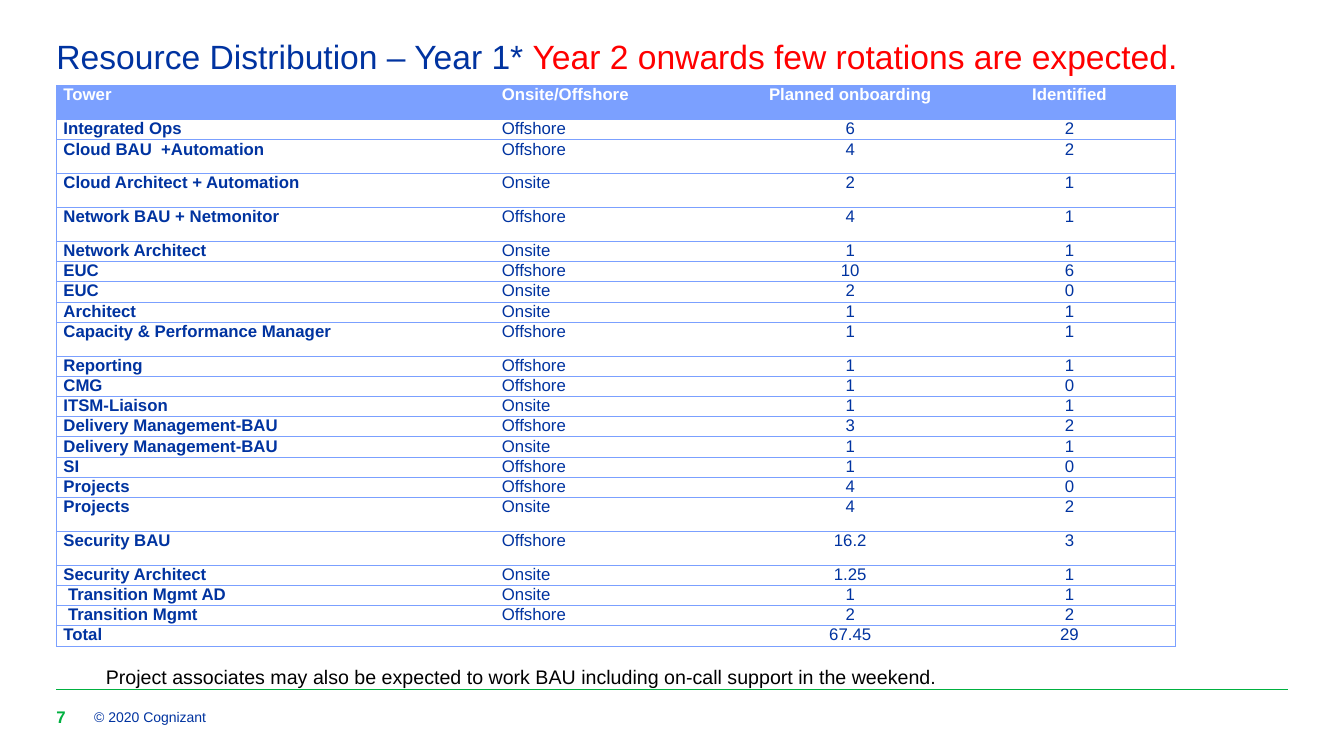
from lxml.etree import SubElement
from pptx import Presentation
from pptx.dml.color import RGBColor
from pptx.enum.shapes import MSO_CONNECTOR as Connector
from pptx.enum.text import MSO_ANCHOR as Anchor, MSO_AUTO_SIZE as AutoSize, PP_ALIGN as Align
from pptx.oxml.ns import qn
from pptx.util import Pt

NAVY, RED, GREEN, SKY = "0033A0", "FF0000", "00B140", "7BA0FF"
WHITE, BLACK = "FFFFFF", "000000"
LEFT = 40.3

HEADINGS = ("Tower", "Onsite/Offshore", "Planned onboarding", "Identified")
TOWERS = [
    ("Integrated Ops", "Offshore", "6", "2"),
    ("Cloud BAU  +Automation", "Offshore", "4", "2"),
    ("Cloud Architect + Automation", "Onsite", "2", "1"),
    ("Network BAU + Netmonitor", "Offshore", "4", "1"),
    ("Network Architect", "Onsite", "1", "1"),
    ("EUC", "Offshore", "10", "6"),
    ("EUC", "Onsite", "2", "0"),
    ("Architect", "Onsite", "1", "1"),
    ("Capacity & Performance Manager", "Offshore", "1", "1"),
    ("Reporting", "Offshore", "1", "1"),
    ("CMG", "Offshore", "1", "0"),
    ("ITSM-Liaison", "Onsite", "1", "1"),
    ("Delivery Management-BAU", "Offshore", "3", "2"),
    ("Delivery Management-BAU", "Onsite", "1", "1"),
    ("SI", "Offshore", "1", "0"),
    ("Projects", "Offshore", "4", "0"),
    ("Projects", "Onsite", "4", "2"),
    ("Security BAU", "Offshore", "16.2", "3"),
    ("Security Architect", "Onsite", "1.25", "1"),
    (" Transition Mgmt AD", "Onsite", "1", "1"),
    (" Transition Mgmt", "Offshore", "2", "2"),
    ("Total", "", "67.45", "29"),
]
COLUMN_WIDTHS = (313.2, 172.8, 162, 151.2)
TALL_ROWS = {0, 2, 3, 4, 9, 17, 18}
TALL, SHORT = 24.2, 14.4


def rgb(color):
    return RGBColor.from_string(color)


def set_font(font, size, color, bold=False):
    font.name, font.size, font.bold = "Arial", Pt(size), bold
    font.color.rgb = rgb(color)


def clear_insets(frame):
    frame.margin_left = frame.margin_top = frame.margin_right = frame.margin_bottom = 0
    frame.word_wrap = True


def add_title(slide, left, top, width, height):
    title = slide.shapes.title
    title.left, title.top, title.width, title.height = map(Pt, (left, top, width, height))
    frame = title.text_frame
    clear_insets(frame)
    frame.auto_size = AutoSize.NONE
    frame.vertical_anchor = Anchor.TOP
    heading = frame.paragraphs[0]
    heading.alignment, heading.line_spacing = Align.LEFT, 0.9
    for words, color in (("Resource Distribution – Year 1* ", NAVY),
                         ("Year 2 onwards few rotations are expected.", RED)):
        run = heading.add_run()
        run.text = words
        set_font(run.font, 24, color)


def add_label(slide, words, left, top, width, height, size, color, bold=False, anchor=Anchor.MIDDLE):
    frame = slide.shapes.add_textbox(*map(Pt, (left, top, width, height))).text_frame
    clear_insets(frame)
    frame.vertical_anchor = anchor
    frame.text = words
    set_font(frame.paragraphs[0].font, size, color, bold)


def set_borders(cell, sides):
    """Draw the given sides (of L, R, T, B) and hide the others."""
    properties = cell._tc.get_or_add_tcPr()
    for side in "LRTB":
        border = SubElement(properties, qn(f"a:ln{side}"), w=str(Pt(0.5)))
        if side in sides:
            fill = SubElement(border, qn("a:solidFill"))
            SubElement(fill, qn("a:srgbClr"), val=SKY)
        else:
            SubElement(border, qn("a:noFill"))


def fill_cell(cell, words, row, column):
    header = row == 0
    cell.margin_left = cell.margin_right = Pt(5)
    cell.margin_top = cell.margin_bottom = 0
    cell.text = words
    entry = cell.text_frame.paragraphs[0]
    entry.alignment = Align.CENTER if column > 1 else Align.LEFT
    set_font(entry.font, 12, WHITE if header else NAVY, header or column == 0)
    set_borders(cell, "TB" + {0: "L", 3: "R"}.get(column, ""))
    if header:
        cell.fill.solid()
        cell.fill.fore_color.rgb = rgb(SKY)
    else:
        cell.fill.background()


def add_resource_table(slide, left, top):
    rows = [HEADINGS, *TOWERS]
    heights = [TALL if row in TALL_ROWS else SHORT for row in range(len(rows))]
    table = slide.shapes.add_table(
        len(rows), len(HEADINGS), Pt(left), Pt(top), Pt(sum(COLUMN_WIDTHS)), Pt(sum(heights))).table
    table.horz_banding = False
    for column, width in zip(table.columns, COLUMN_WIDTHS):
        column.width = Pt(width)
    for row, (entries, height) in enumerate(zip(rows, heights)):
        table.rows[row].height = Pt(height)
        for column, words in enumerate(entries):
            fill_cell(table.cell(row, column), words, row, column)


def add_footer(slide, left, top, width):
    rule = slide.shapes.add_connector(Connector.STRAIGHT, Pt(left), Pt(top), Pt(left + width), Pt(top))
    rule.line.color.rgb, rule.line.width = rgb(GREEN), Pt(0.5)
    SubElement(rule._element.spPr, qn("a:effectLst"))
    add_label(slide, "© 2020 Cognizant", left + 27, top + 11.5, 480, 16.6, 10, NAVY)
    add_label(slide, "7", left, top + 11.5, 24, 16.6, 12, GREEN, bold=True)


def main():
    deck = Presentation()
    deck.slide_width, deck.slide_height = Pt(960), Pt(540)
    slide = deck.slides.add_slide(deck.slide_layouts[5])
    add_title(slide, LEFT, 28.8, 880.6, 83.5)
    add_footer(slide, LEFT, 492.5, 880)
    add_label(slide, "Project associates may also be expected to work BAU including on-call support in the weekend.",
              75.6, 475.2, 810, 33.8, 14, BLACK, anchor=Anchor.TOP)
    add_resource_table(slide, LEFT, 61.2)
    deck.save("out.pptx")


if __name__ == "__main__":
    main()
